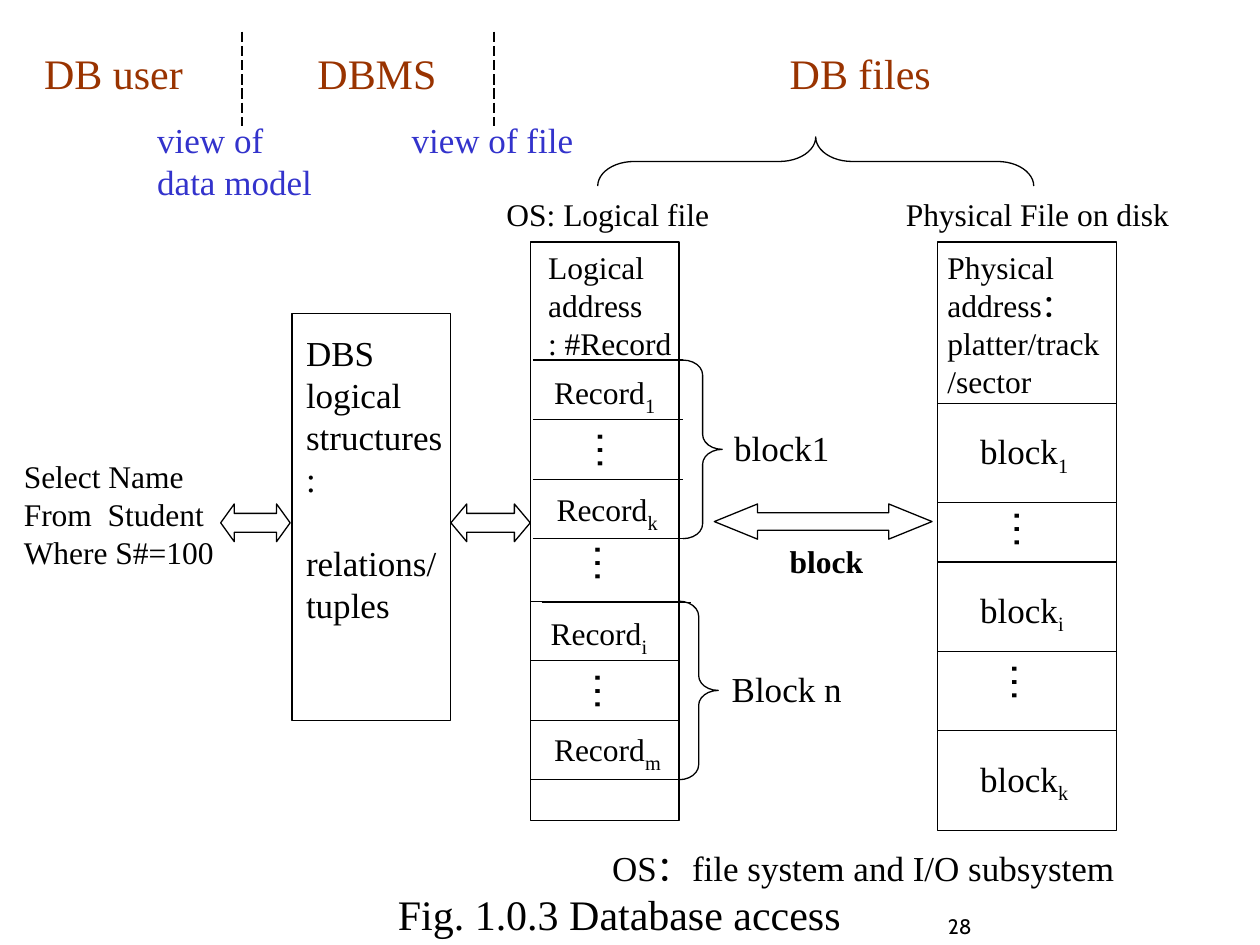
from dataclasses import dataclass

from pptx import Presentation
from pptx.dml.color import RGBColor
from pptx.enum.dml import MSO_LINE
from pptx.enum.shapes import MSO_CONNECTOR, MSO_SHAPE
from pptx.enum.text import MSO_ANCHOR, MSO_AUTO_SIZE, PP_ALIGN
from pptx.oxml.ns import qn
from pptx.util import Cm, Pt

RECT = MSO_SHAPE.RECTANGLE
BRACE = MSO_SHAPE.RIGHT_BRACE
ARROW = MSO_SHAPE.LEFT_RIGHT_ARROW
STRAIGHT = MSO_CONNECTOR.STRAIGHT
DASH = MSO_LINE.LONG_DASH
LEFT, CENTER = PP_ALIGN.LEFT, PP_ALIGN.CENTER
TOP, BOTTOM = MSO_ANCHOR.TOP, MSO_ANCHOR.BOTTOM
GROW, FIXED = MSO_AUTO_SIZE.SHAPE_TO_FIT_TEXT, MSO_AUTO_SIZE.NONE
SERIF = "Times New Roman"
BLACK, BROWN, BLUE = "000000", "993300", "3333CC"


@dataclass
class Form:
    kind: int
    left: float
    top: float
    width: float
    height: float
    adjust: tuple = ()
    turn: float = 0


@dataclass
class Rule:
    left: float
    right: float
    tops: list


@dataclass
class Label:
    text: str
    left: float
    top: float
    width: float
    height: float


def paint(color, code: str) -> None:
    color.rgb = RGBColor.from_string(code)


def draw_form(slide, form: Form) -> None:
    shape = slide.shapes.add_shape(
        form.kind, Cm(form.left), Cm(form.top), Cm(form.width), Cm(form.height))
    shape.shadow.inherit = False
    shape.fill.background()
    paint(shape.line.color, BLACK)
    shape.line.width = Pt(0.75)
    shape.rotation = form.turn
    for index, value in enumerate(form.adjust):
        shape.adjustments[index] = value


def draw_line(slide, x1: float, y1: float, x2: float, y2: float, dash=None) -> None:
    line = slide.shapes.add_connector(STRAIGHT, Cm(x1), Cm(y1), Cm(x2), Cm(y2))
    paint(line.line.color, BLACK)
    line.line.width = Pt(0.75)
    if dash:
        line.line.dash_style = dash
    props = line.element.find(qn("p:spPr"))
    props.append(props.makeelement(qn("a:effectLst"), {}))


def write(slide, label: Label, size: float = 18, font: str = SERIF,
          color: str = BLACK, bold: bool = False, wrap: bool = False,
          align=LEFT, anchor=TOP, fit=GROW, upright: bool = False,
          gaps: tuple = ()) -> None:
    box = slide.shapes.add_textbox(
        Cm(label.left), Cm(label.top), Cm(label.width), Cm(label.height))
    frame = box.text_frame
    frame.word_wrap = wrap
    frame.auto_size = fit
    frame.vertical_anchor = anchor
    if upright:
        frame.margin_left = frame.margin_right = Cm(0.13)
        frame.margin_top = frame.margin_bottom = Cm(0.25)
        box.element.find(".//" + qn("a:bodyPr")).set("vert", "eaVert")
    for index, line in enumerate(label.text.split("\n")):
        para = frame.paragraphs[0] if index == 0 else frame.add_paragraph()
        para.alignment = align
        if index in gaps:
            para.space_before = Pt(size * 1.2)
        for low, part in enumerate(line.split("_")):
            run = para.add_run()
            run.text = part
            run.font.name = font
            run.font.size = Pt(20 if low else size)
            run.font.bold = bold
            paint(run.font.color, color)
            if low:
                run.font._element.set("baseline", "-25000")


FORMS = [
    Form(RECT, 5.89, 6.32, 3.2, 8.2),
    Form(RECT, 10.69, 4.88, 3, 11.66),
    Form(RECT, 18.9, 4.88, 3.61, 11.86),
    Form(BRACE, 13.77, 7.26, 0.79, 3.6, (0.38, 0.5)),
    Form(BRACE, 13.69, 12.12, 0.79, 3.6, (0.38, 0.5)),
    Form(BRACE, 15.95, -1.14, 0.99, 8.79, (0.74, 0.5), 270),
    Form(ARROW, 14.4, 10.16, 4.39, 0.71, (0.5, 1.23)),
    Form(ARROW, 9.09, 10.16, 1.6, 0.76, (0.5, 0.42)),
    Form(ARROW, 4.45, 10.16, 1.4, 0.76, (0.5, 0.36)),
]
RULES = [
    Rule(10.74, 13.77, [7.26 + 1.2 * row for row in range(4)]),
    Rule(10.92, 13.92, [12.14]),
    Rule(10.69, 13.69, [12.12 + 1.2 * row for row in range(4)]),
    Rule(18.9, 22.51, [8.13, 10.13, 11.33, 13.13, 14.73]),
]
HEADS = [
    Label("DB user", 0.64, 0.84, 3.6, 1.27),
    Label("DBMS", 6.15, 0.84, 3.2, 1.27),
    Label("DB files", 15.67, 0.84, 3.6, 1.27),
]
VIEWS = [
    Label("view of\ndata model", 2.92, 2.27, 4.2, 2),
    Label("view of file", 8.05, 2.27, 4.2, 1.12),
]
SMALL = [
    Label("Select Name\nFrom  Student\nWhere S#=100", 0.23, 9.09, 4.8, 2.54),
    Label("Logical\naddress\n: #Record", 10.8, 4.88, 3.4, 2.54),
    Label("Record_1", 10.92, 7.32, 3, 1.22),
    Label("Record_k", 10.97, 9.68, 3, 1.22),
    Label("Record_i", 10.85, 12.19, 3, 1.22),
    Label("Record_m", 10.92, 14.53, 3, 1.22),
    Label("OS: Logical file", 9.96, 3.81, 5, 1.02),
    Label("Physical File on disk", 18.01, 3.81, 6.2, 1.02),
    Label("Physical\naddress：\nplatter/track\n/sector", 18.85, 4.88, 4, 3.3),
]
LARGE = [
    Label("block1", 14.55, 8.48, 2.8, 1.12),
    Label("Block n", 14.5, 13.34, 3, 1.12),
    Label("block_1", 19.51, 8.53, 2.8, 1.22),
    Label("block_i", 19.51, 11.73, 2.8, 1.22),
    Label("block_k", 19.51, 15.14, 2.8, 1.22),
    Label("OS：file system and I/O subsystem", 12.09, 16.94, 11.4, 1.12),
]
DOTS = [(11.51, 8.41), (11.46, 10.68), (11.46, 13.27), (19.91, 10.01), (19.86, 13.09)]
LOGIC = Label("DBS\nlogical\nstructures:\nrelations/\ntuples", 5.92, 6.56, 3.4, 6.2)
UNIT = Label("block", 15.67, 10.8, 2.6, 1.02)
TITLE = Label("Fig. 1.0.3 Database access", 7.77, 17.78, 10.2, 1.27)
PAGE = Label("28", 16.71, 17.78, 5.28, 1.27)


def main() -> None:
    deck = Presentation()
    deck.slide_width, deck.slide_height = Cm(25.4), Cm(19.05)
    slide = deck.slides.add_slide(deck.slide_layouts[6])
    for form in FORMS:
        draw_form(slide, form)
    for rule in RULES:
        for top in rule.tops:
            draw_line(slide, rule.left, top, rule.right, top)
    for x in (4.88, 9.96):
        draw_line(slide, x, 0.64, x, 2.54, DASH)
    for label in HEADS:
        write(slide, label, size=24, color=BROWN)
    for label in VIEWS:
        write(slide, label, size=20, color=BLUE)
    for label in SMALL:
        write(slide, label)
    for label in LARGE:
        write(slide, label, size=20)
    for left, top in DOTS:
        write(slide, Label("…", left, top, 1.52, 1.12), size=24, font="Arial", upright=True)
    write(slide, LOGIC, size=20, wrap=True, gaps=(3,))
    write(slide, UNIT, bold=True)
    write(slide, TITLE, size=24)
    write(slide, PAGE, size=12, font="Cabin", wrap=True, align=CENTER, anchor=BOTTOM, fit=FIXED)
    deck.save("out.pptx")


if __name__ == "__main__":
    main()
